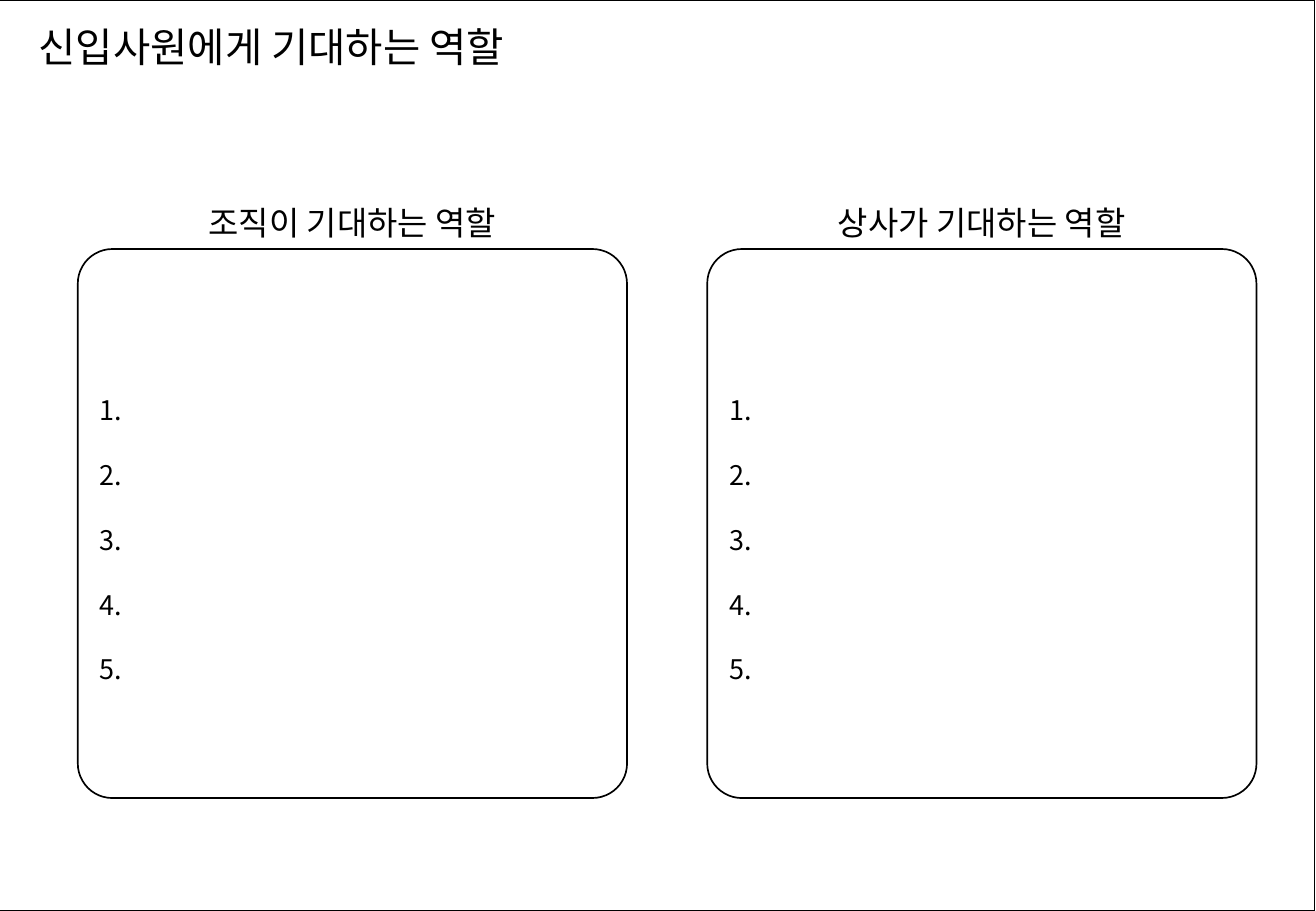
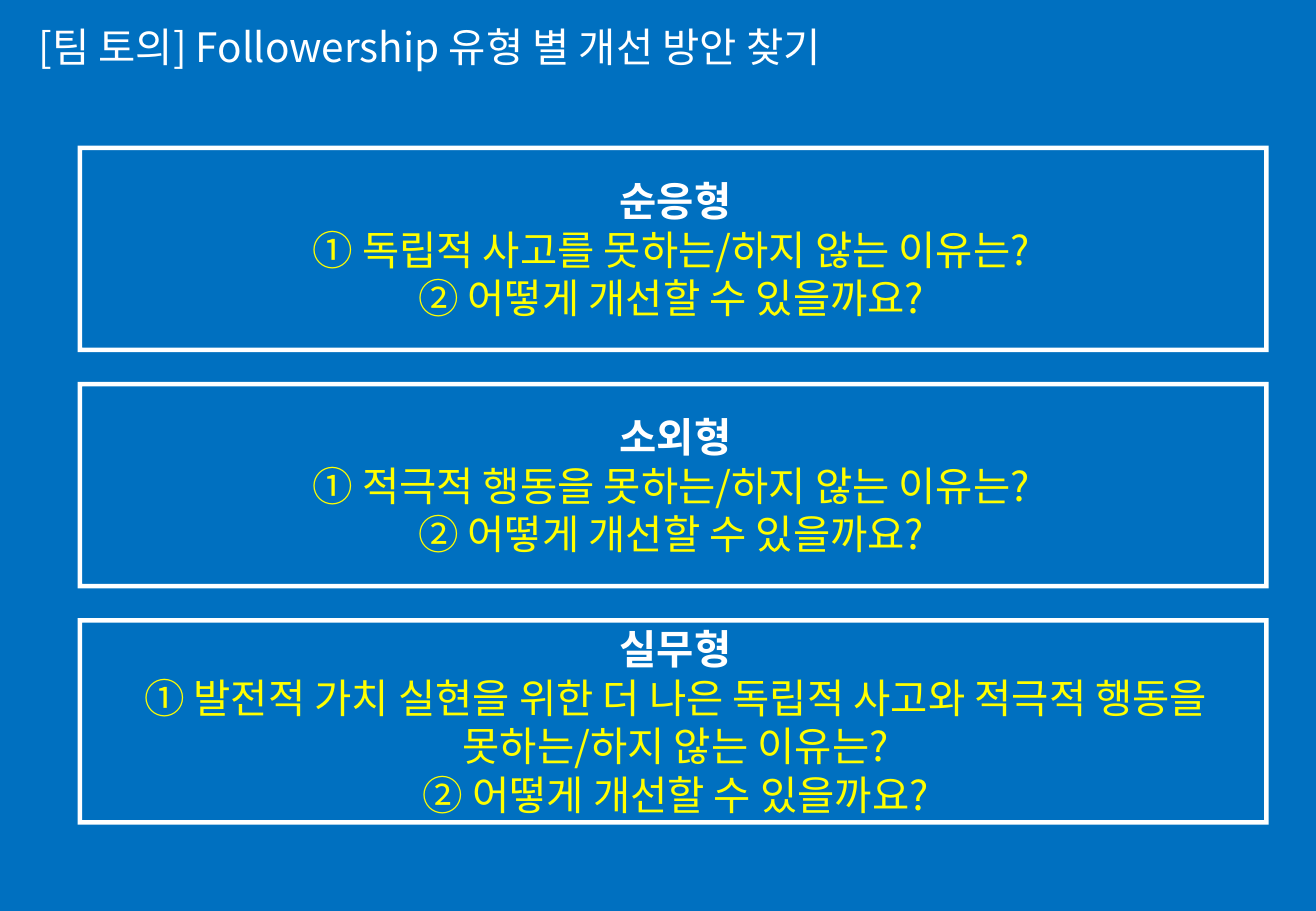
"""Build two training slides: expected roles and a team discussion."""
import dataclasses

import lxml.etree
import pptx
import pptx.dml.color
import pptx.enum.shapes
import pptx.enum.text
import pptx.oxml.ns
import pptx.util

Inch = pptx.util.Inches
Kind = pptx.enum.shapes.MSO_SHAPE
Anchor = pptx.enum.text.MSO_ANCHOR
Align = pptx.enum.text.PP_ALIGN


@dataclasses.dataclass(frozen=True)
class Theme:
    font: str = "Noto Sans CJK KR"
    ink: str = "000000"
    paper: str = "FFFFFF"
    blue: str = "0070C0"
    accent: str = "FFFF00"
    head: float = 24
    label: float = 19.5
    item: float = 16
    edge: float = 0.75
    rule: float = 1


THEME = Theme()
WIDE, HIGH = 10.83, 7.5
LEFT = 0.64
CARD, CARD_TOP, CARD_STEP = 4.52, 2.05, 5.18
LABEL_HIGH = 0.43
ROW_WIDE, ROW_HIGH, ROW_TOP, ROW_STEP = 9.8, 1.7, 1.2, 1.945


def tint(code):
    return pptx.dml.color.RGBColor.from_string(code)


def write(shape, lines, size=THEME.head, color=THEME.ink, bold=False,
          align=Align.LEFT, space=1.0):
    frame = shape.text_frame
    for line in lines:
        first = frame.paragraphs[0]
        para = frame.add_paragraph() if first.runs else first
        para.alignment = align
        para.line_spacing = space
        run = para.add_run()
        run.text = line
        run.font.size = pptx.util.Pt(size)
        run.font.bold = bold
        run.font.color.rgb = tint(color)
        run.font.name = THEME.font
        east = lxml.etree.SubElement(run._r.get_or_add_rPr(), pptx.oxml.ns.qn("a:ea"))
        east.set("typeface", THEME.font)


def add_box(slide, kind, area, fill, line=None, weight=THEME.rule, round_by=None):
    box = slide.shapes.add_shape(kind, *map(Inch, area))
    box.shadow.inherit = False
    box.fill.solid()
    box.fill.fore_color.rgb = tint(fill)
    if line:
        box.line.color.rgb = tint(line)
        box.line.width = pptx.util.Pt(weight)
    else:
        box.line.fill.background()
    if round_by is not None:
        box.adjustments[0] = round_by
    box.text_frame.word_wrap = True
    box.text_frame.vertical_anchor = Anchor.MIDDLE
    return box


def add_text(slide, area, text, anchor=Anchor.TOP, **style):
    box = slide.shapes.add_textbox(*map(Inch, area))
    box.text_frame.word_wrap = True
    box.text_frame.vertical_anchor = anchor
    write(box, [text], **style)


def add_slide(deck, title, color=THEME.ink, back=None):
    slide = deck.slides.add_slide(deck.slide_layouts[6])
    add_box(slide, Kind.RECTANGLE, (-0.01, 0, WIDE, HIGH), THEME.paper,
            THEME.ink, THEME.edge)
    if back:
        add_box(slide, Kind.RECTANGLE, (0, 0, WIDE, HIGH), back)
    add_text(slide, (0.22, 0.13, 9.34, 0.55), title, Anchor.MIDDLE,
             color=color, space=0.9)
    return slide


def add_card(slide, col, label):
    left = LEFT + col * CARD_STEP
    card = add_box(slide, Kind.ROUNDED_RECTANGLE, (left, CARD_TOP, CARD, CARD),
                   THEME.paper, THEME.ink, round_by=0.063)
    write(card, [f"{n}." for n in range(1, 6)], size=THEME.item, space=2.0)
    add_text(slide, (left, CARD_TOP - LABEL_HIGH, CARD, LABEL_HIGH), label,
             size=THEME.label, align=Align.CENTER)


def add_topic(slide, row, name, asks):
    area = (LEFT, ROW_TOP + row * ROW_STEP, ROW_WIDE, ROW_HIGH)
    box = add_box(slide, Kind.FRAME, area, THEME.paper, round_by=0.022)
    frame = box.text_frame
    frame.margin_left, frame.margin_right = Inch(0.16), Inch(0.12)
    frame.margin_top = frame.margin_bottom = 0
    write(box, [name], color=THEME.paper, bold=True, align=Align.CENTER)
    write(box, asks, color=THEME.accent, align=Align.CENTER)


def main():
    deck = pptx.Presentation()
    deck.slide_width, deck.slide_height = Inch(WIDE), Inch(HIGH)

    roles = add_slide(deck, "신입사원에게 기대하는 역할")
    for col, label in enumerate(["조직이 기대하는 역할", "상사가 기대하는 역할"]):
        add_card(roles, col, label)

    talk = add_slide(deck, "[팀 토의] Followership 유형 별 개선 방안 찾기",
                     THEME.paper, THEME.blue)
    topics = [
        ("순응형", ["① 독립적 사고를 못하는/하지 않는 이유는? ",
                 "② 어떻게 개선할 수 있을까요? "]),
        ("소외형", ["① 적극적 행동을 못하는/하지 않는 이유는? ",
                 "② 어떻게 개선할 수 있을까요? "]),
        ("실무형", ["① 발전적 가치 실현을 위한 더 나은 독립적 사고와 적극적 행동을 "
                 "못하는/하지 않는 이유는?",
                 "② 어떻게 개선할 수 있을까요?"]),
    ]
    for row, (name, asks) in enumerate(topics):
        add_topic(talk, row, name, asks)

    deck.save("out.pptx")


if __name__ == "__main__":
    main()
